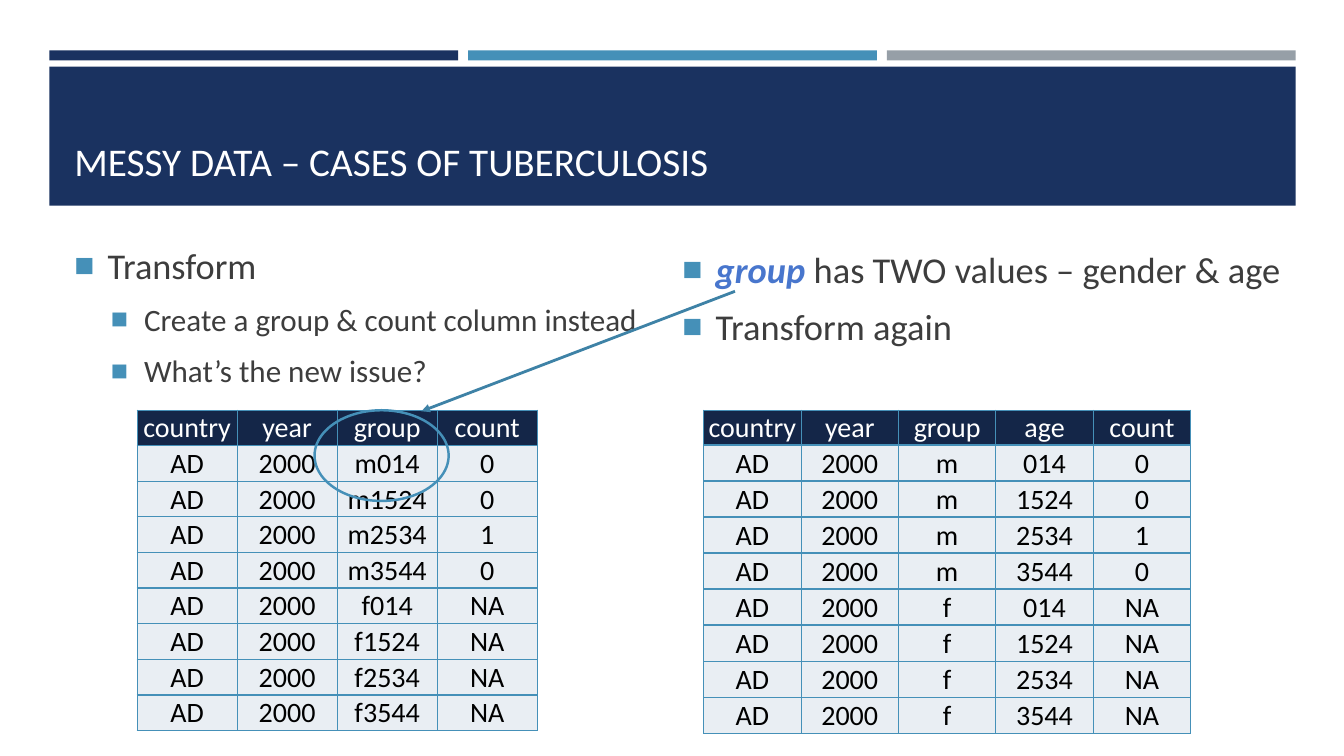
from lxml import etree
from pptx import Presentation
from pptx.dml.color import RGBColor
from pptx.enum.shapes import MSO_CONNECTOR, MSO_SHAPE
from pptx.enum.text import MSO_ANCHOR, PP_ALIGN
from pptx.oxml.ns import qn
from pptx.util import Inches, Pt

FONT = "Calibri"
NAVY, BLUE, GREY, WHITE = "1A3260", "4590B8", "969FA7", "FFFFFF"
DARK, ACCENT, BLACK, ARROW = "3D3D3D", "4876CD", "000000", "3E82A6"
HEADER_FILL, BODY_FILL = "142648", "E9EEF3"

GROUPS = ["m014", "m1524", "m2534", "m3544", "f014", "f1524", "f2534", "f3544"]
COUNTS = ["0", "0", "1", "0"] + ["NA"] * 4
COMBINED = [["country", "year", "group", "count"]] + [
    ["AD", "2000", group, count] for group, count in zip(GROUPS, COUNTS)]
SEPARATED = [["country", "year", "group", "age", "count"]] + [
    ["AD", "2000", group[0], group[1:], count] for group, count in zip(GROUPS, COUNTS)]


def color(hex_code):
    return RGBColor.from_string(hex_code)


def inches(*lengths):
    return [Inches(length) for length in lengths]


def xml_child(parent, tag, **attributes):
    return etree.SubElement(parent, qn(tag), **attributes)


def style(run, size, hex_code, emphasis=False):
    run.font.name = FONT
    run.font.size = Pt(size)
    run.font.color.rgb = color(hex_code)
    run.font.bold = run.font.italic = emphasis


def add_bar(slide, box, fill):
    bar = slide.shapes.add_shape(MSO_SHAPE.RECTANGLE, *inches(*box))
    bar.shadow.inherit = False
    bar.fill.solid()
    bar.fill.fore_color.rgb = color(fill)
    bar.line.fill.background()


def add_text_frame(slide, box, anchor):
    frame = slide.shapes.add_textbox(*inches(*box)).text_frame
    frame.word_wrap = True
    frame.vertical_anchor = anchor
    return frame


def add_banner(slide, left, top, width, title):
    """Three coloured strips above a navy title band."""
    gap = 0.1
    strip_width = (width - 2 * gap) / 3
    for i, fill in enumerate([NAVY, BLUE, GREY]):
        add_bar(slide, (left + i * (strip_width + gap), top, strip_width, 0.1), fill)
    add_bar(slide, (left, top + 0.16, width, 1.38), NAVY)
    frame = add_text_frame(slide, (left + 0.15, top + 0.3, width - 0.3, 1.08),
                           MSO_ANCHOR.BOTTOM)
    frame.text = title
    style(frame.paragraphs[0].runs[0], 28, WHITE)


def set_bullet(paragraph, margin):
    properties = paragraph._p.get_or_add_pPr()
    properties.set("marL", str(Inches(margin)))
    properties.set("indent", str(-Inches(0.33)))
    xml_child(xml_child(properties, "a:buClr"), "a:srgbClr", val=BLUE)
    xml_child(properties, "a:buSzPct", val="92000")
    xml_child(properties, "a:buFont", typeface="Arial")
    xml_child(properties, "a:buChar", char="■")


def add_bullets(slide, box, bullets):
    """Each bullet is (level, size, [(text, colour, emphasis), ...])."""
    frame = add_text_frame(slide, box, MSO_ANCHOR.MIDDLE)
    for i, (level, size, parts) in enumerate(bullets):
        paragraph = frame.add_paragraph() if i else frame.paragraphs[0]
        paragraph.level = level
        paragraph.space_before, paragraph.space_after = Pt(4), Pt(6)
        set_bullet(paragraph, 0.69 if level else 0.33)
        for text, hex_code, emphasis in parts:
            run = paragraph.add_run()
            run.text = text
            style(run, size, hex_code, emphasis)


def set_borders(cell):
    properties = cell._tc.get_or_add_tcPr()
    for i, side in enumerate(["a:lnL", "a:lnR", "a:lnT", "a:lnB"]):
        border = etree.Element(qn(side), w=str(Pt(1)))
        xml_child(xml_child(border, "a:solidFill"), "a:srgbClr", val=BLUE)
        properties.insert(i, border)


def fill_cell(cell, text, fill, text_color):
    cell.text = text
    cell.vertical_anchor = MSO_ANCHOR.MIDDLE
    cell.margin_left = cell.margin_right = cell.margin_top = Inches(0.01)
    cell.margin_bottom = 0
    cell.fill.solid()
    cell.fill.fore_color.rgb = color(fill)
    set_borders(cell)
    paragraph = cell.text_frame.paragraphs[0]
    paragraph.alignment = PP_ALIGN.CENTER
    style(paragraph.runs[0], 20, text_color)


def add_cases_table(slide, box, rows, header_height):
    height = box[3]
    table = slide.shapes.add_table(len(rows), len(rows[0]), *inches(*box)).table
    table.first_row = table.horz_banding = False
    for r, values in enumerate(rows):
        body_height = (height - header_height) / (len(rows) - 1)
        table.rows[r].height = Inches(body_height if r else header_height)
        fill, text_color = (BODY_FILL, BLACK) if r else (HEADER_FILL, WHITE)
        for c, value in enumerate(values):
            fill_cell(table.cell(r, c), value, fill, text_color)


def add_group_callout(slide, ring_box, start, end):
    """Ring around the group column with an arrow pointing to it."""
    ring = slide.shapes.add_shape(MSO_SHAPE.OVAL, *inches(*ring_box))
    ring.shadow.inherit = False
    ring.fill.background()
    ring.line.color.rgb = color(BLUE)
    ring.line.width = Pt(1.75)
    arrow = slide.shapes.add_connector(MSO_CONNECTOR.STRAIGHT, *inches(*start, *end))
    arrow.line.color.rgb = color(ARROW)
    arrow.line.width = Pt(2)
    xml_child(arrow.line._get_or_add_ln(), "a:tailEnd", type="triangle")
    xml_child(arrow._element.spPr, "a:effectLst")


def main():
    presentation = Presentation()
    presentation.slide_width, presentation.slide_height = inches(13.33, 7.5)
    slide = presentation.slides.add_slide(presentation.slide_layouts[6])
    add_banner(slide, 0.49, 0.5, 12.36, "MESSY DATA – CASES OF TUBERCULOSIS")
    add_bullets(slide, (0.64, 2.21, 5.93, 1.85), [
        (0, 25.9, [("Transform", DARK, False)]),
        (1, 22.2, [("Create a group & count column instead", DARK, False)]),
        (1, 22.2, [("What’s the new issue?", DARK, False)]),
    ])
    add_bullets(slide, (6.67, 2.35, 6.43, 1.2), [
        (0, 26, [("group ", ACCENT, True),
                 ("has TWO values – gender & age", DARK, False)]),
        (0, 26, [("Transform again", DARK, False)]),
    ])
    add_cases_table(slide, (1.36, 4.07, 3.97, 3.18), COMBINED, 0.35)
    add_cases_table(slide, (6.98, 4.07, 4.83, 3.19), SEPARATED, 0.33)
    add_group_callout(slide, (3.12, 4.07, 1.33, 0.9), (7.29, 2.89), (4.18, 4.08))
    presentation.save("out.pptx")


if __name__ == "__main__":
    main()
